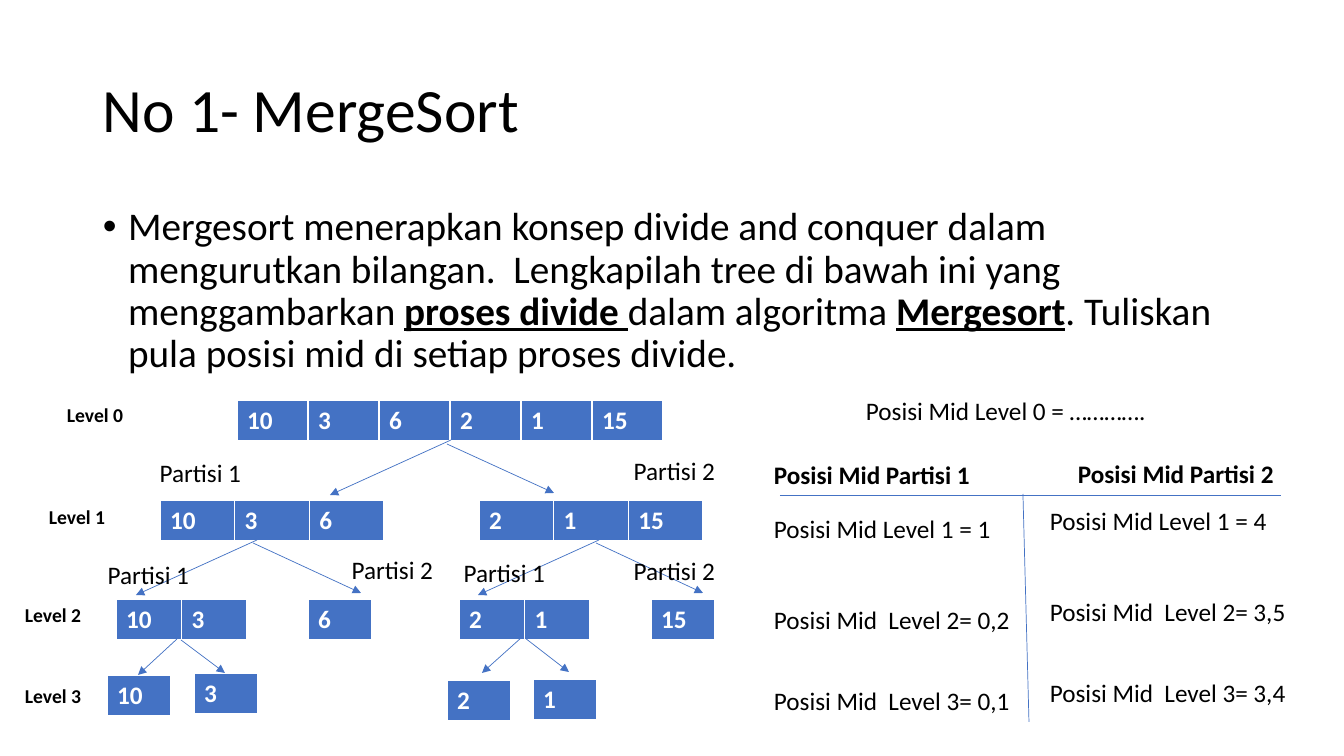
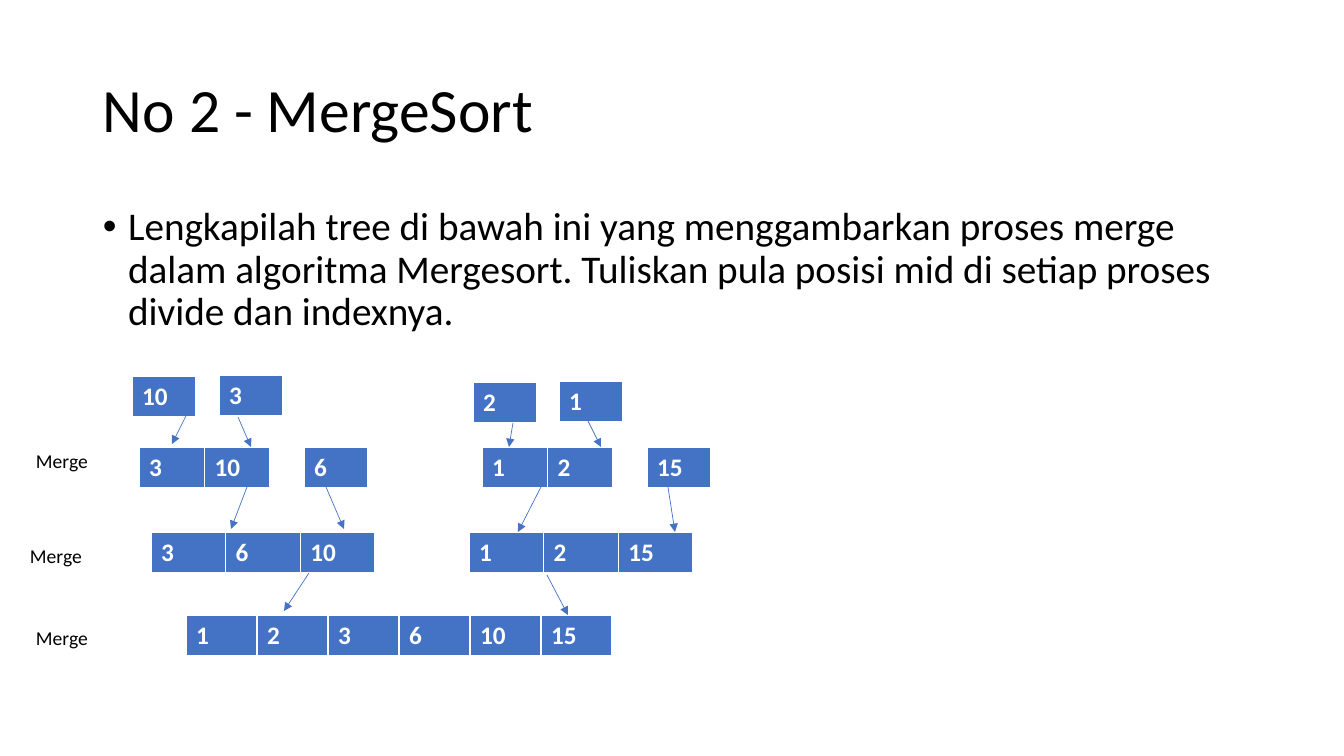
from lxml import etree
from pptx import Presentation
from pptx import util as u
from pptx.dml.color import RGBColor
from pptx.enum import shapes, text
from pptx.oxml.ns import qn

BLUE = RGBColor(0x44, 0x72, 0xC4)
BLACK = RGBColor(0, 0, 0)
WHITE = RGBColor(0xFF, 0xFF, 0xFF)

SCALE = 914400 / 100.8
FONT = "Calibri"
TITLE_BOX = (93, 40, 1159, 146)
BODY_BOX = (93, 202, 1159, 480)
ROW_H = 41
ARRAY_W = {1: 64, 2: 131, 3: 224, 6: 426}  # array width by number of cells

TITLE = {"size": u.Pt(44)}
BODY = {"size": u.Pt(28)}
STRONG = {"size": u.Pt(28), "bold": True, "underline": True}
NOTE = {"size": u.Pt(18)}
HEAD = {"size": u.Pt(18), "bold": True}
LEVEL = {"size": u.Pt(14), "bold": True}
STEP = {"size": u.Pt(14)}

# Arrays: (left, top, values). Arrows and rules: (x1, y1, x2, y2).
# Labels: (format, width, height, [(left, top, text), ...]).
LEFT_MID, RIGHT_MID = 764, 1040
SLIDES = [
    {
        "title": "No 1- MergeSort",
        "body": [
            ("Mergesort menerapkan konsep divide and conquer dalam mengurutkan "
             "bilangan.  Lengkapilah tree di bawah ini yang menggambarkan ", BODY),
            ("proses divide ", STRONG),
            ("dalam algoritma ", BODY),
            ("Mergesort", STRONG),
            (". Tuliskan pula posisi mid di setiap proses divide. ", BODY),
        ],
        "arrays": [
            (237, 400, (10, 3, 6, 2, 1, 15)),
            (160, 500, (10, 3, 6)), (479, 500, (2, 1, 15)),
            (116, 599, (10, 3)), (308, 599, (6,)),
            (459, 599, (2, 1)), (651, 599, (15,)),
            (107, 675, (10,)), (194, 673, (3,)),
            (447, 680, (2,)), (533, 679, (1,)),
        ],
        "arrows": [
            (451, 440, 330, 495), (447, 444, 554, 493),
            (257, 540, 136, 595), (253, 543, 361, 593),
            (599, 540, 478, 595), (596, 543, 703, 593),
            (177, 639, 138, 675), (181, 640, 225, 673),
            (521, 638, 482, 673), (525, 638, 569, 672),
        ],
        "rules": [(1023, 494, 1029, 722), (780, 495, 1281, 495)],
        "labels": [
            (NOTE, 303, 40, [(856, 390, "Posisi Mid Level 0 = ………….")]),
            (HEAD, 218, 40, [(LEFT_MID, 454, "Posisi Mid Partisi 1"),
                             (1068, 453, "Posisi Mid Partisi 2")]),
            (NOTE, 240, 40, [(LEFT_MID, 508, "Posisi Mid Level 1 = 1"),
                             (RIGHT_MID, 500, "Posisi Mid Level 1 = 4")]),
            (NOTE, 259, 40, [(LEFT_MID, 599, "Posisi Mid  Level 2= 0,2"),
                             (LEFT_MID, 680, "Posisi Mid  Level 3= 0,1"),
                             (RIGHT_MID, 591, "Posisi Mid  Level 2= 3,5"),
                             (RIGHT_MID, 672, "Posisi Mid  Level 3= 3,4")]),
            (NOTE, 109, 40, [(144, 452, " Partisi 1"), (618, 450, " Partisi 2"),
                             (92, 554, " Partisi 1"), (336, 549, " Partisi 2"),
                             (448, 552, " Partisi 1"), (618, 550, " Partisi 2")]),
            (LEVEL, 77, 34, [(57, 398, "Level 0"), (39, 500, "Level 1"),
                             (15, 598, "Level 2"), (15, 679, "Level 3")]),
        ],
    },
    {
        "title": "No 2 - MergeSort",
        "body": [
            ("Lengkapilah tree di bawah ini yang menggambarkan proses merge dalam "
             "algoritma Mergesort. Tuliskan pula posisi mid di setiap proses "
             "divide dan indexnya. ", BODY),
        ],
        "arrays": [
            (132, 376, (10,)), (219, 375, (3,)),
            (473, 382, (2,)), (559, 381, (1,)),
            (139, 447, (3, 10)), (304, 447, (6,)),
            (482, 447, (1, 2)), (647, 447, (15,)),
            (151, 532, (3, 6, 10)), (469, 532, (1, 2, 15)),
            (186, 615, (1, 2, 3, 6, 10, 15)),
        ],
        "arrows": [
            (186, 416, 172, 444), (238, 417, 251, 447),
            (247, 487, 231, 529), (326, 487, 344, 529),
            (513, 423, 509, 447), (588, 421, 601, 447),
            (541, 487, 518, 532), (668, 487, 675, 532),
            (309, 573, 284, 611), (547, 575, 568, 615),
        ],
        "rules": [],
        "labels": [
            (STEP, 78, 34, [(26, 444, "Merge "), (20, 539, "Merge "),
                            (26, 621, "Merge ")]),
        ],
    },
]


def px(*lengths):
    """Turn pixel lengths into EMU."""
    return [u.Emu(round(n * SCALE)) for n in lengths]


def apply(obj, values):
    """Set each named attribute of an object."""
    for name, value in values.items():
        setattr(obj, name, value)


def add_run(p, content, fmt, color=BLACK):
    """Add one formatted run to a paragraph."""
    r = p.add_run()
    r.text = content
    apply(r.font, {"name": FONT, **fmt})
    r.font.color.rgb = color


def add_text(s, box, runs, frame, para=None):
    """Add a text box holding one paragraph and return the paragraph."""
    tf = s.shapes.add_textbox(*px(*box)).text_frame
    p = tf.paragraphs[0]
    apply(tf, frame)
    apply(p, para or {})
    for content, fmt in runs:
        add_run(p, content, fmt)
    return p


def add_bullet(p):
    """Give a paragraph a round bullet with a hanging indent."""
    pPr = p._p.get_or_add_pPr()
    pPr.set("marL", str(u.Inches(0.25)))
    pPr.set("indent", str(-u.Inches(0.25)))
    etree.SubElement(pPr, qn("a:buFont"), typeface="Arial")
    etree.SubElement(pPr, qn("a:buChar"), char="•")


def add_array(s, left, top, values):
    """Draw an array as a one-row table with equal cells."""
    width = ARRAY_W[len(values)]
    table = s.shapes.add_table(1, len(values), *px(left, top, width, ROW_H)).table
    for column, cell, value in zip(table.columns, table.rows[0].cells, values):
        column.width = px(width / len(values))[0]
        cell.fill.solid()
        cell.fill.fore_color.rgb = BLUE
        add_run(cell.text_frame.paragraphs[0], str(value), HEAD, WHITE)


def add_line(s, ends, arrow):
    """Draw a thin straight line, with an arrowhead at its end if asked."""
    sp = s.shapes.add_connector(shapes.MSO_CONNECTOR.STRAIGHT, *px(*ends))
    sp.line.width = u.Pt(0.5)
    sp.line.color.rgb = BLUE
    if arrow:
        etree.SubElement(sp.line._get_or_add_ln(), qn("a:tailEnd"), type="triangle")
    etree.SubElement(sp._element.spPr, qn("a:effectLst"))


def build_slide(prs, data):
    """Build one slide: title, question, tree and labels."""
    s = prs.slides.add_slide(prs.slide_layouts[6])
    add_text(s, TITLE_BOX, [(data["title"], TITLE)],
             {"word_wrap": True, "vertical_anchor": text.MSO_ANCHOR.MIDDLE},
             {"line_spacing": 0.9})
    add_bullet(add_text(s, BODY_BOX, data["body"], {"word_wrap": True},
                        {"line_spacing": 0.9, "space_before": u.Pt(10)}))
    for array in data["arrays"]:
        add_array(s, *array)
    for ends in data["arrows"]:
        add_line(s, ends, True)
    for fmt, width, height, items in data["labels"]:
        for left, top, content in items:
            add_text(s, (left, top, width, height), [(content, fmt)],
                     {"word_wrap": False,
                      "auto_size": text.MSO_AUTO_SIZE.SHAPE_TO_FIT_TEXT})
    for ends in data["rules"]:
        add_line(s, ends, False)


prs = Presentation()
prs.slide_width, prs.slide_height = px(1344, 756)
for data in SLIDES:
    build_slide(prs, data)
prs.save("out.pptx")
